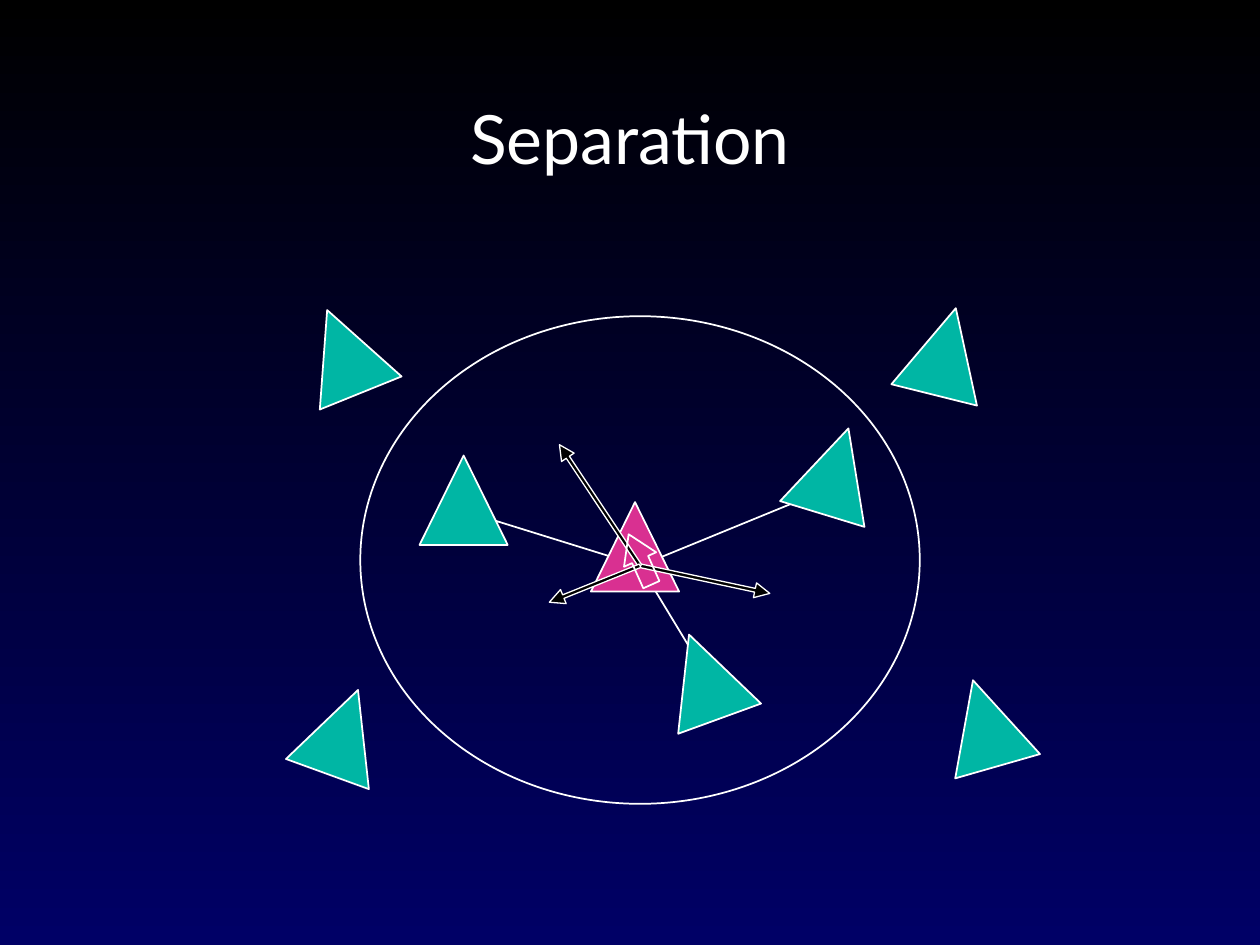
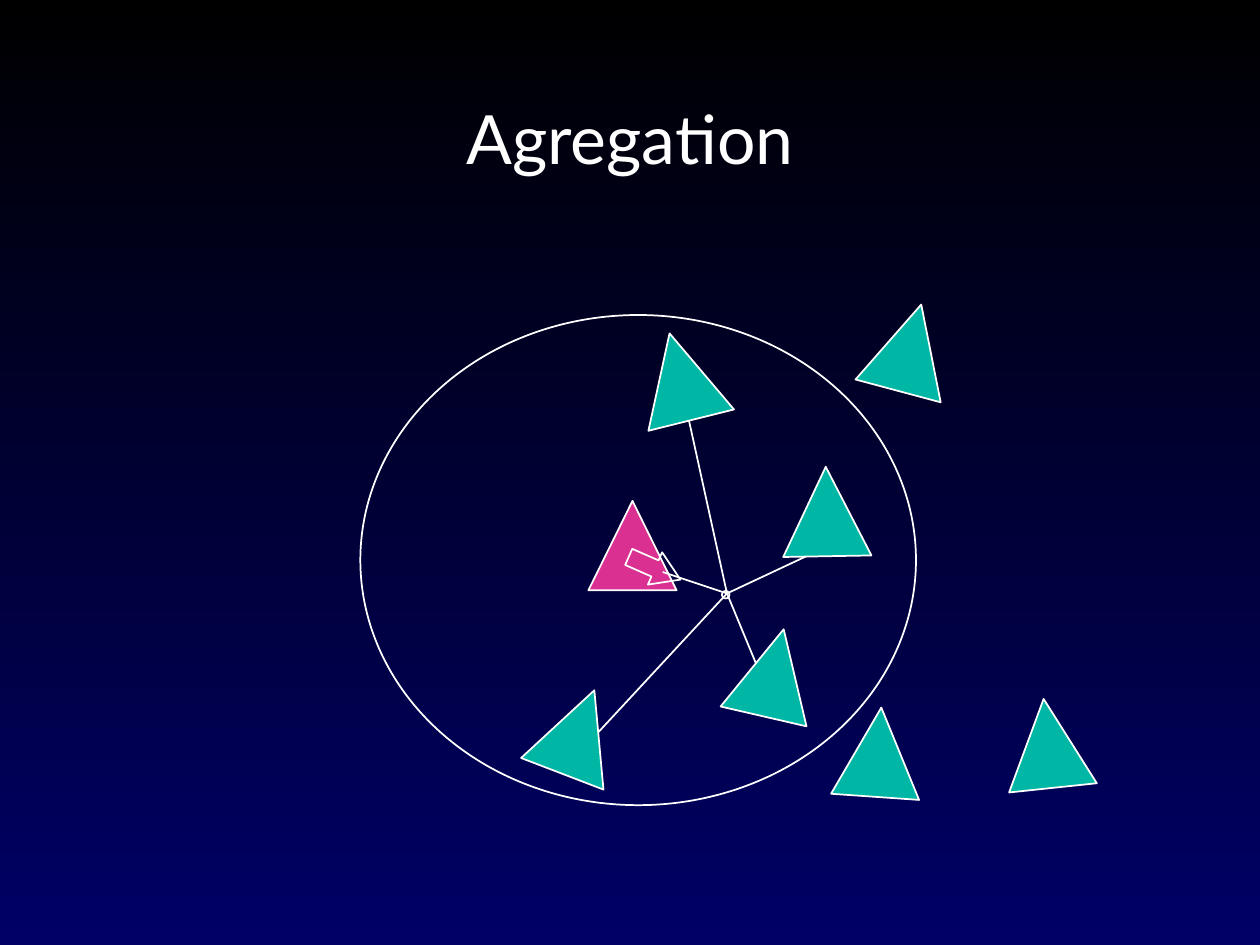
"""Build two slides showing the separation and aggregation rules of a flock."""
from math import hypot

from lxml.etree import SubElement
from pptx import Presentation
from pptx.dml.color import RGBColor
from pptx.enum.shapes import MSO_CONNECTOR as Connector, MSO_SHAPE as Shape
from pptx.enum.text import PP_ALIGN as Align
from pptx.oxml.ns import qn
from pptx.util import Pt

PX = 9144
WIDTH, HEIGHT = 1000, 750
BLACK = RGBColor(0x00, 0x00, 0x00)
NAVY = RGBColor(0x00, 0x00, 0x66)
WHITE = RGBColor(0xFF, 0xFF, 0xFF)
TEAL = RGBColor(0x00, 0xB6, 0xA4)
PINK = RGBColor(0xD9, 0x30, 0x91)

BOID_WIDTH, BOID_HEIGHT = 70, 71
FORCE = {"shaft": 3, "head_width": 12, "head_length": 12, "fill": BLACK, "weight": 0.75}
STEERING = {"shaft": 14, "head_width": 28, "head_length": 22}


class FlockDeck:
    """Hold the style and the slide being drawn."""

    def __init__(self):
        self.presentation = Presentation()
        self.presentation.slide_width = WIDTH * PX
        self.presentation.slide_height = HEIGHT * PX
        self.slide = None

    def add_slide(self, title):
        self.slide = self.presentation.slides.add_slide(self.presentation.slide_layouts[6])
        fill = self.slide.background.fill
        fill.gradient()
        fill.gradient_angle = 270
        for stop, color, position in zip(fill.gradient_stops, (BLACK, NAVY), (0, 1)):
            stop.color.rgb = color
            stop.position = position
        self.title(title)

    def title(self, text):
        box = self.slide.shapes.add_textbox(300 * PX, 85 * PX, 400 * PX, 56 * PX)
        frame = box.text_frame
        margins = dict.fromkeys(("margin_left", "margin_top", "margin_right", "margin_bottom"), 0)
        for name, value in {**margins, "word_wrap": True}.items():
            setattr(frame, name, value)
        paragraph = frame.paragraphs[0]
        paragraph.text = text
        for name, value in {"alignment": Align.CENTER, "line_spacing": Pt(40.6)}.items():
            setattr(paragraph, name, value)
        for name, value in {"name": "Lato", "size": Pt(38.8)}.items():
            setattr(paragraph.font, name, value)
        paragraph.font.color.rgb = WHITE

    def paint(self, shape, fill=None, weight=1):
        shape.shadow.inherit = False
        if fill is None:
            shape.fill.background()
        else:
            shape.fill.solid()
            shape.fill.fore_color.rgb = fill
        shape.line.color.rgb = WHITE
        shape.line.width = Pt(weight)

    def oval(self, *bounds):
        self.paint(self.slide.shapes.add_shape(Shape.OVAL, *(value * PX for value in bounds)))

    def boid(self, x, y, heading=0, fill=TEAL):
        """Draw a triangle centred on a point and turned to its heading."""
        left, top = (x - BOID_WIDTH / 2) * PX, (y - BOID_HEIGHT / 2) * PX
        shape = self.slide.shapes.add_shape(
            Shape.ISOSCELES_TRIANGLE, int(left), int(top), BOID_WIDTH * PX, BOID_HEIGHT * PX)
        shape.rotation = heading
        self.paint(shape, fill)

    def boids(self, placements):
        for placement in placements:
            self.boid(*placement)

    def spokes(self, hub, ends):
        for end in ends:
            line = self.slide.shapes.add_connector(
                Connector.STRAIGHT, *(value * PX for value in (*hub, *end)))
            line.line.color.rgb = WHITE
            line.line.width = Pt(1)
            SubElement(line.element.spPr, qn("a:effectLst"))

    def arrow(self, tail, tip, shaft, head_width, head_length, fill=None, weight=1):
        """Draw a block arrow outline from tail to tip."""
        length = hypot(tip[0] - tail[0], tip[1] - tail[1])
        along_x, along_y = ((b - a) / length for a, b in zip(tail, tip))
        neck = length - head_length
        outline = [(0, shaft / 2), (neck, shaft / 2), (neck, head_width / 2), (length, 0),
                   (neck, -head_width / 2), (neck, -shaft / 2), (0, -shaft / 2)]
        points = [((tail[0] + d * along_x - side * along_y) * PX,
                   (tail[1] + d * along_y + side * along_x) * PX) for d, side in outline]
        builder = self.slide.shapes.build_freeform(*points[0], scale=1.0)
        builder.add_line_segments(points[1:], close=True)
        self.paint(builder.convert_to_shape(), fill, weight)


def separation(deck):
    deck.add_slide("Separation")
    hub = (508, 449)
    deck.oval(286, 251, 444, 387)
    deck.spokes(hub, [(635, 397), (548, 515), (389, 412)])
    deck.boids([(750, 279, 14), (272, 581, 20), (273, 279, -22), (663, 374, 17),
                (559, 537, -20), (368, 397), (782, 574, -16)])
    deck.boid(504, 434, fill=PINK)
    for tip in [(611, 471), (444, 353), (436, 478)]:
        deck.arrow(hub, tip, **FORCE)
    deck.arrow((517, 464), (499, 424), **STEERING)


def aggregation(deck):
    deck.add_slide("Agregation")
    deck.oval(286, 250, 441, 389)
    deck.boid(502, 433, fill=PINK)
    deck.spokes((577, 471), [(546, 330), (641, 441), (475, 581), (526, 454), (601, 529)])
    deck.boids([(697, 597, 4), (832, 590, -6), (722, 276, 15), (656, 406, -1),
                (540, 299, -14), (614, 534, 13), (459, 581, 21)])
    deck.oval(573, 469, 6, 6)
    deck.arrow((499, 442), (540, 460), **STEERING)


def main():
    deck = FlockDeck()
    separation(deck)
    aggregation(deck)
    deck.presentation.save("out.pptx")


if __name__ == "__main__":
    main()
